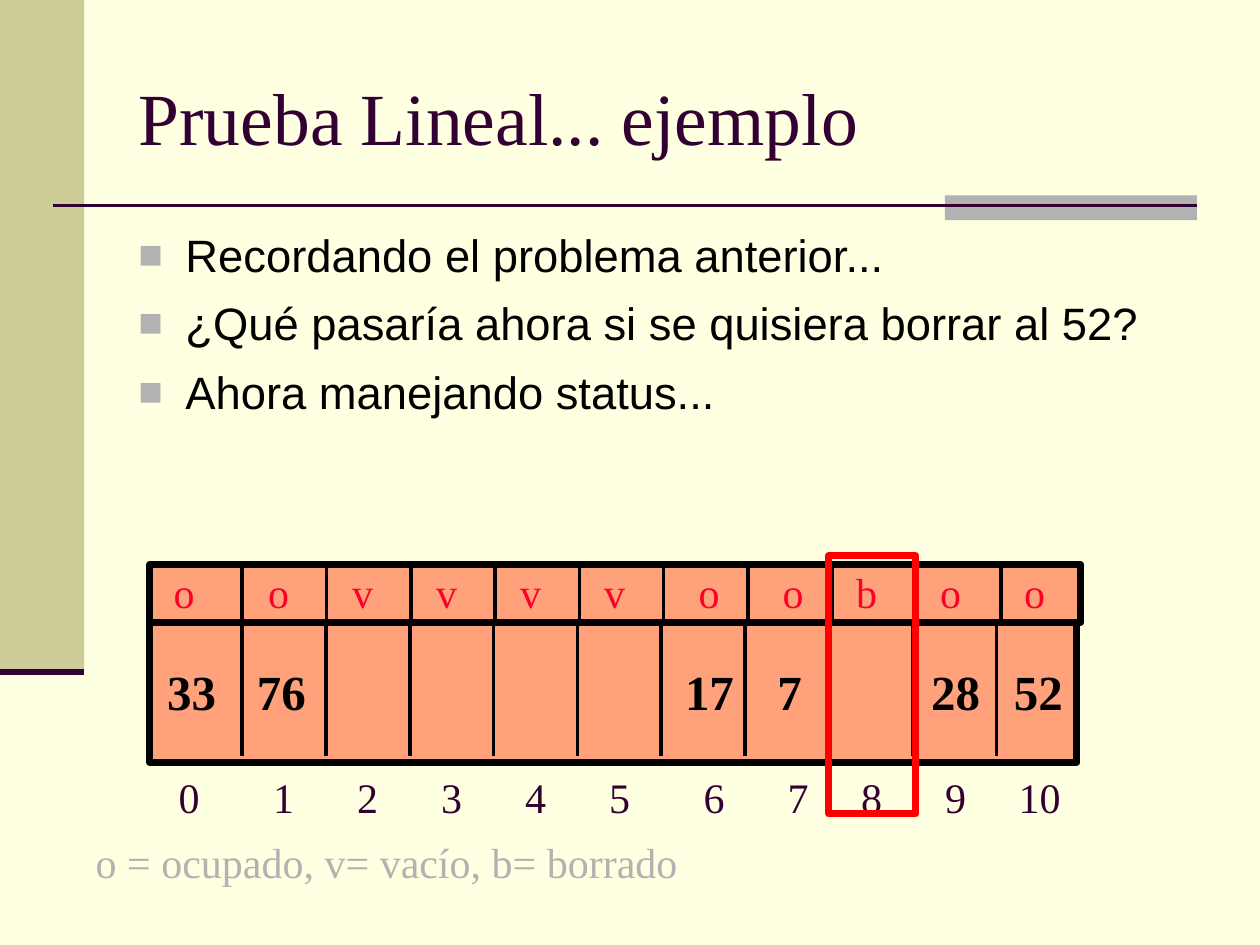
from itertools import accumulate

from lxml import etree
from pptx import Presentation
from pptx import util as u
from pptx.dml import color
from pptx.enum import shapes, text
from pptx.oxml import ns

SERIF, SANS = "Times New Roman", "Arial"
INK, BLACK, GRAY, RED = "330033", "000000", "B2B2B2", "FC0128"
SALMON, KHAKI, CREAM = "FFA27C", "CCCC99", "FFFFE1"


def rgb(value):
    """Return the colour for a hex string."""
    return color.RGBColor.from_string(value)


def add_xml(parent, tag, **attrs):
    """Append a DrawingML element with its attributes."""
    el = etree.SubElement(parent, ns.qn(tag))
    for key, value in attrs.items():
        el.set(key, str(value))
    return el


class Deck:
    """Holds the style and the current slide."""

    def __init__(self):
        """Start a presentation with one title-only slide."""
        self.prs = Presentation()
        self.prs.slide_width, self.prs.slide_height = u.Cm(25.4), u.Cm(19.05)
        self.s = self.prs.slides.add_slide(self.prs.slide_layouts[5])
        fill = self.s.background.fill
        fill.solid()
        fill.fore_color.rgb = rgb(CREAM)

    def fill_text(self, tf, lines, size, hue, name=SERIF, bold=False,
                  anchor=text.MSO_ANCHOR.TOP):
        """Fill a text frame with left-aligned paragraphs."""
        frame = {"word_wrap": True, "auto_size": text.MSO_AUTO_SIZE.NONE,
                 "vertical_anchor": anchor}
        for key, value in frame.items():
            setattr(tf, key, value)
        for i, line in enumerate(lines):
            p = tf.add_paragraph() if i else tf.paragraphs[0]
            p.alignment = text.PP_ALIGN.LEFT
            r = p.add_run()
            r.text = line
            font = {"size": u.Pt(size), "name": name, "bold": bold}
            for key, value in font.items():
                setattr(r.font, key, value)
            r.font.color.rgb = rgb(hue)

    def title(self, line, left, top, width, height):
        """Move and format the title placeholder."""
        sp = self.s.shapes.title
        box = {"left": left, "top": top, "width": width, "height": height}
        for key, value in box.items():
            setattr(sp, key, u.Cm(value))
        self.fill_text(sp.text_frame, [line], 42, INK,
                       anchor=text.MSO_ANCHOR.MIDDLE)

    def text(self, lines, left, top, width, height, size, hue, **style):
        """Add a text box and return its text frame."""
        sp = self.s.shapes.add_textbox(*map(u.Cm, (left, top, width, height)))
        self.fill_text(sp.text_frame, lines, size, hue, **style)
        return sp.text_frame

    def bullets(self, lines, left, top, width, height):
        """Add a list with square bullets."""
        tf = self.text(lines, left, top, width, height, 25.9, BLACK, name=SANS)
        for p in tf.paragraphs:
            p.space_before = u.Pt(8)
            props = p._p.get_or_add_pPr()
            props.set("marL", str(u.Cm(0.95)))
            props.set("indent", str(u.Cm(-0.95)))
            add_xml(add_xml(props, "a:buClr"), "a:srgbClr", val=GRAY)
            add_xml(props, "a:buSzPct", val=90000)
            add_xml(props, "a:buFont", typeface=SANS)
            add_xml(props, "a:buChar", char="■")

    def row(self, items, pitches, left, top, hue):
        """Add a line of items on tab stops, pitches in twelfths of an inch."""
        tf = self.text(["\t".join(items)], left, top, 19, 1.27, 24, hue)
        tabs = add_xml(tf.paragraphs[0]._p.get_or_add_pPr(), "a:tabLst")
        for stop in accumulate(pitches):
            add_xml(tabs, "a:tab", pos=u.Cm(stop * 2.54 / 12), algn="l")

    def rect(self, left, top, width, height, fill=None, line=None):
        """Add a rectangle with an optional fill and a thick outline."""
        sp = self.s.shapes.add_shape(shapes.MSO_SHAPE.RECTANGLE,
                                     *map(u.Cm, (left, top, width, height)))
        sp.shadow.inherit = False
        if fill:
            sp.fill.solid()
            sp.fill.fore_color.rgb = rgb(fill)
        else:
            sp.fill.background()
        if line:
            sp.line.color.rgb = rgb(line)
            sp.line.width = u.Pt(4)
        else:
            sp.line.fill.background()

    def line(self, x1, y1, x2, y2, hue, width):
        """Add a straight line."""
        c = self.s.shapes.add_connector(shapes.MSO_CONNECTOR.STRAIGHT,
                                        *map(u.Cm, (x1, y1, x2, y2)))
        c.line.color.rgb = rgb(hue)
        c.line.width = u.Pt(width)
        add_xml(c._element.spPr, "a:effectLst")

    def cells(self, top, width, height, pitch, start, end):
        """Add a framed strip split into eleven cells."""
        self.rect(3.02, top, width, height, SALMON, BLACK)
        for i in range(10):
            x = 4.88 + i * pitch
            self.line(x, start, x, end, BLACK, 2)


def main():
    """Build the slide."""
    d = Deck()
    d.rect(0, 0, 1.7, 13.55, KHAKI)
    d.rect(19.05, 3.94, 5.08, 0.5, GRAY)
    d.line(1.06, 4.14, 24.13, 4.14, INK, 1.5)
    d.line(0, 13.55, 1.7, 13.55, INK, 3.5)
    d.title("Prueba Lineal... ejemplo", 2.54, 0.76, 21.59, 3.18)
    d.bullets(["Recordando el problema anterior...",
               "¿Qué pasaría ahora si se quisiera borrar al 52?",
               "Ahora manejando status..."], 2.54, 4.45, 21.59, 3.96)

    pitches = [9, 8, 8, 8, 8, 9, 8, 7, 8]
    d.cells(12.55, 18.69, 2.82, 1.69, 12.5, 15.24)
    d.row(map(str, range(11)), pitches + [7], 3.35, 15.42, INK)
    values = {"33": 3.12, "76": 4.93, "17": 13.56, "7": 15.42,
              "28": 18.52, "52": 20.19}
    for value, left in values.items():
        d.text([value], left, 13.21, 1.8, 1.45, 28, BLACK, bold=True)

    d.cells(11.38, 18.77, 1.17, 1.7, 11.3, 12.55)
    d.row("oovvvvooboo", pitches + [8], 3.25, 11.3, RED)
    d.text(["o = ocupado, v= vacío, b= borrado"],
           1.68, 16.74, 13, 1.27, 24, GRAY)
    d.rect(16.71, 11.2, 1.75, 5.21, line="FF0000")
    d.prs.save("out.pptx")


if __name__ == "__main__":
    main()
